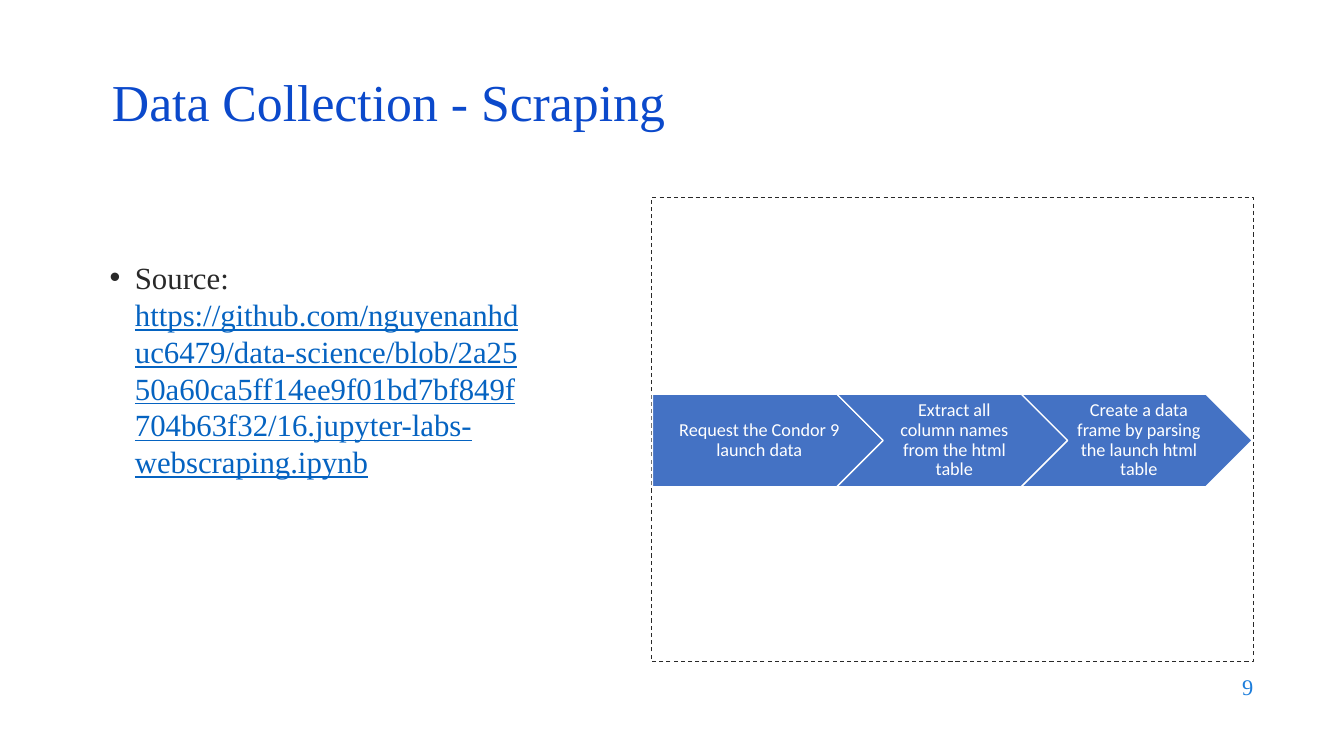
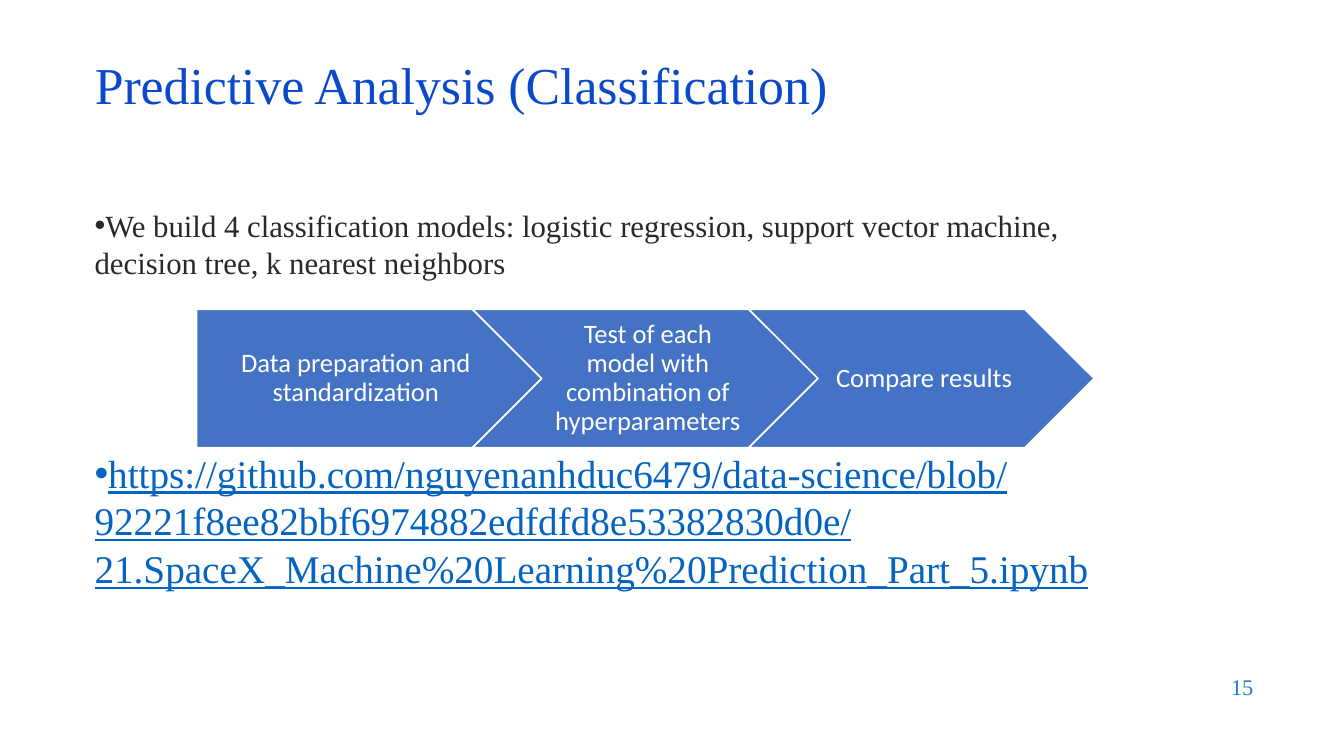
from dataclasses import dataclass

from lxml.etree import SubElement
from pptx import Presentation
from pptx.dml.color import RGBColor
from pptx.enum.dml import MSO_LINE_DASH_STYLE as Dash
from pptx.enum.shapes import MSO_SHAPE as Preset
from pptx.enum.text import MSO_ANCHOR as Anchor, MSO_AUTO_SIZE as AutoSize, PP_ALIGN as Align
from pptx.oxml.ns import qn
from pptx.util import Emu, Pt

EMU_PER_PX = 9144


@dataclass(frozen=True)
class Theme:
    title: str = "0B49CB"
    ink: str = "292929"
    link: str = "0563C1"
    number: str = "1C7DDB"
    step: str = "4472C4"
    white: str = "FFFFFF"
    serif: str = "Times New Roman"
    sans: str = "Calibri"
    title_size: int = 37
    body_size: int = 22
    large_size: int = 28
    number_size: int = 16


THEME = Theme()


@dataclass(frozen=True)
class Box:
    left: int
    top: int
    width: int
    height: int


@dataclass(frozen=True)
class Bullet:
    box: Box
    size: int
    line_points: float
    label: str = ""
    link: str = ""
    hanging: int = 0


@dataclass(frozen=True)
class Process:
    first: Box
    size: int
    steps: tuple[str, ...]


@dataclass(frozen=True)
class Page:
    number: int
    title: str
    title_box: Box
    bullets: tuple[Bullet, ...]
    process: Process
    frame: Box | None = None


PAGES = (
    Page(
        9,
        "Data Collection - Scraping",
        Box(101, 76, 1150, 60),
        (
            Bullet(
                Box(99, 252, 430, 240), THEME.body_size, 26.3, "Source:\v",
                "https://github.com/nguyenanhd\vuc6479/data-science/blob/2a25\v"
                "50a60ca5ff14ee9f01bd7bf849f\v704b63f32/16.jupyter-labs-\v"
                "webscraping.ipynb",
                hanging=25,
            ),
        ),
        Process(
            Box(647, 391, 229, 92), 13,
            (
                "Request the Condor 9 launch data",
                "Extract all column names from the html table",
                "Create a data frame by parsing the launch html table",
            ),
        ),
        frame=Box(646, 196, 597, 460),
    ),
    Page(
        15,
        "Predictive Analysis (Classification)",
        Box(84, 59, 1150, 60),
        (
            Bullet(
                Box(84, 200, 1066, 90), THEME.body_size, 26.3,
                "We build 4 classification models: logistic regression, "
                "support vector machine, decision tree, k nearest neighbors",
            ),
            Bullet(
                Box(84, 440, 1066, 160), THEME.large_size, 34,
                link="https://github.com/nguyenanhduc6479/data-science/blob/\v"
                "92221f8ee82bbf6974882edfdfd8e53382830d0e/\v"
                "21.SpaceX_Machine%20Learning%20Prediction_Part_5.ipynb",
            ),
        ),
        Process(
            Box(195, 307, 342, 137), 19,
            (
                "Data preparation and standardization",
                "Test of each model with combination of hyperparameters",
                "Compare results",
            ),
        ),
    ),
)


def px(length: int) -> Emu:
    return Emu(length * EMU_PER_PX)


def bounds(box: Box) -> tuple[Emu, Emu, Emu, Emu]:
    return px(box.left), px(box.top), px(box.width), px(box.height)


def style(span, size: int, color: str, font: str = THEME.serif) -> None:
    span.font.name = font
    span.font.size = Pt(size)
    span.font.color.rgb = RGBColor.from_string(color)


def add_text(slide, box: Box, text: str):
    frame = slide.shapes.add_textbox(*bounds(box)).text_frame
    frame.word_wrap = True
    frame.text = text
    return frame


def add_title(slide, text: str, box: Box) -> None:
    title = slide.shapes.title
    title.left, title.top, title.width, title.height = bounds(box)
    frame = title.text_frame
    frame.text = text
    frame.auto_size = AutoSize.NONE
    frame.vertical_anchor = Anchor.MIDDLE
    para = frame.paragraphs[0]
    para.alignment = Align.LEFT
    para.line_spacing = 0.8
    style(para.runs[0], THEME.title_size, THEME.title)


def add_number(slide, number: int) -> None:
    frame = add_text(slide, Box(953, 659, 300, 44), str(number))
    frame.vertical_anchor = Anchor.MIDDLE
    para = frame.paragraphs[0]
    para.alignment = Align.RIGHT
    style(para.runs[0], THEME.number_size, THEME.number)


def add_bullet(slide, bullet: Bullet) -> None:
    para = add_text(slide, bullet.box, bullet.label + bullet.link).paragraphs[0]
    properties = para._p.get_or_add_pPr()
    properties.set("marL", str(px(bullet.hanging)))
    properties.set("indent", str(px(-bullet.hanging)))
    SubElement(properties, qn("a:buFont")).set("typeface", "Arial")
    SubElement(properties, qn("a:buChar")).set("char", "•")
    para.line_spacing = Pt(bullet.line_points)
    label_runs = 1 if bullet.label else 0
    for index, span in enumerate(para.runs):
        is_link = index >= label_runs
        style(span, bullet.size, THEME.link if is_link else THEME.ink)
        span.font.underline = is_link


def add_frame(slide, box: Box) -> None:
    frame = slide.shapes.add_shape(Preset.RECTANGLE, *bounds(box))
    frame.shadow.inherit = False
    frame.fill.background()
    frame.line.color.rgb = RGBColor.from_string(THEME.ink)
    frame.line.width = Pt(0.75)
    frame.line.dash_style = Dash.DASH


def add_process(slide, process: Process) -> None:
    first = process.first
    pitch = first.width - first.height // 2
    for index, text in enumerate(process.steps):
        box = Box(first.left + index * pitch, first.top, first.width, first.height)
        preset = Preset.CHEVRON if index else Preset.PENTAGON
        step = slide.shapes.add_shape(preset, *bounds(box))
        step.shadow.inherit = False
        step.fill.solid()
        step.fill.fore_color.rgb = RGBColor.from_string(THEME.step)
        step.line.color.rgb = RGBColor.from_string(THEME.white)
        step.line.width = Pt(1)
        frame = step.text_frame
        frame.word_wrap = True
        frame.vertical_anchor = Anchor.MIDDLE
        frame.margin_left = px(round(process.size * (0.44 if index else 0.6)))
        frame.margin_right = px(round(process.size * 0.15))
        frame.margin_top = frame.margin_bottom = px(round(process.size * 0.3))
        frame.text = text
        para = frame.paragraphs[0]
        para.alignment = Align.CENTER
        para.line_spacing = 0.9
        style(para.runs[0], process.size, THEME.white, THEME.sans)


def add_page(deck, page: Page) -> None:
    slide = deck.slides.add_slide(deck.slide_layouts[5])
    add_title(slide, page.title, page.title_box)
    add_number(slide, page.number)
    for bullet in page.bullets:
        add_bullet(slide, bullet)
    if page.frame:
        add_frame(slide, page.frame)
    add_process(slide, page.process)


def main() -> None:
    deck = Presentation()
    deck.slide_width, deck.slide_height = px(1333), px(750)
    for page in PAGES:
        add_page(deck, page)
    deck.save("out.pptx")


if __name__ == "__main__":
    main()
